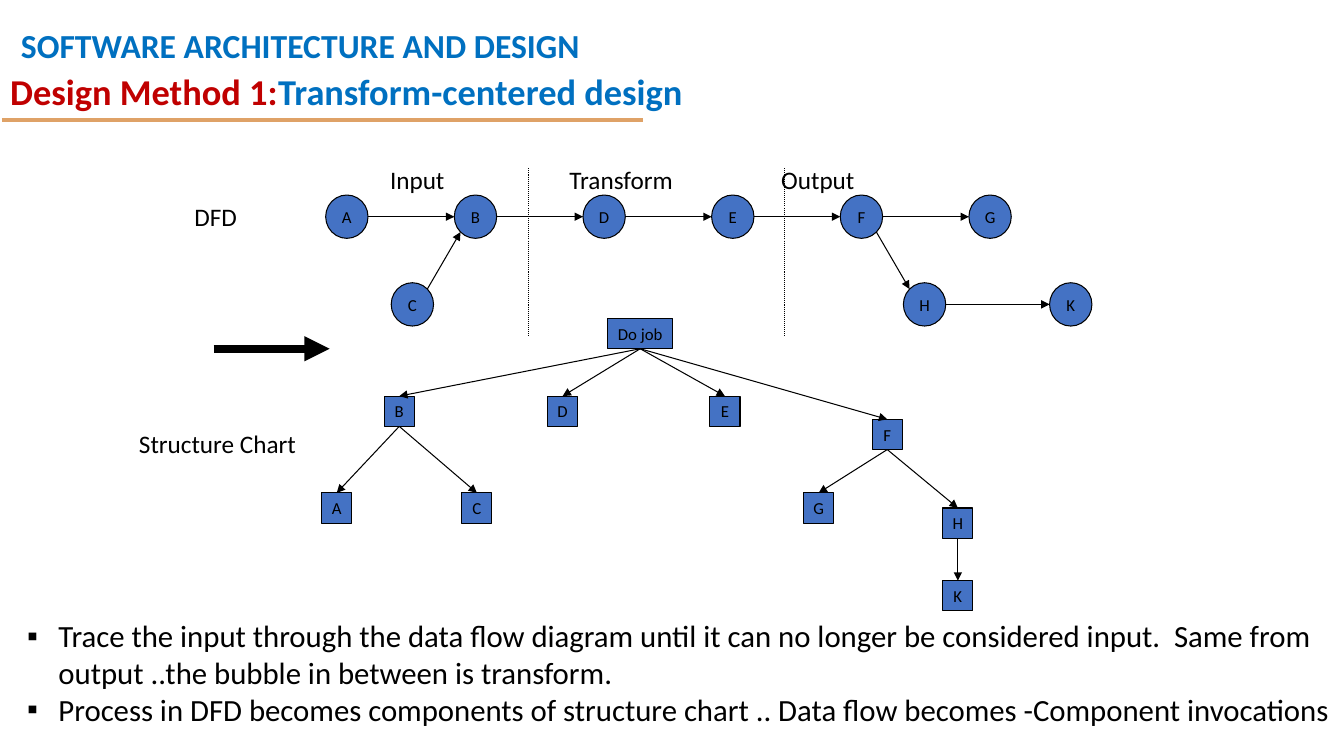
from math import sqrt

from lxml import etree
from pptx import Presentation
from pptx.dml.color import RGBColor
from pptx.enum import dml, shapes, text
from pptx.oxml.ns import qn
from pptx.util import Inches, Pt

BLACK, BLUE, RED = "000000", "0070C0", "C00000"
NODE_FILL, RULE = "4472C4", "DFA267"
LEFT, CENTER = text.PP_ALIGN.LEFT, text.PP_ALIGN.CENTER


def color(value):
    return RGBColor.from_string(value)


def write(paragraph, content, size=18, fill=BLACK, bold=False, align=LEFT,
          spacing=1.0):
    """Add a run to a paragraph and format both."""
    paragraph.alignment = align
    paragraph.line_spacing = spacing
    paragraph.space_before = Pt(0)
    run = paragraph.add_run()
    run.text = content
    run.font.name = "Calibri"
    run.font.size = Pt(size)
    run.font.bold = bold
    run.font.color.rgb = color(fill)


def place(shape, x, y, w, h):
    shape.left, shape.top = Inches(x), Inches(y)
    shape.width, shape.height = Inches(w), Inches(h)


def label(slide, x, y, w, h, content, wrap=False, **style):
    box = slide.shapes.add_textbox(Inches(x), Inches(y), Inches(w), Inches(h))
    box.text_frame.word_wrap = wrap
    write(box.text_frame.paragraphs[0], content, **style)


def node(slide, kind, center_x, y, w, h, name):
    shape = slide.shapes.add_shape(
        kind, Inches(center_x - w / 2), Inches(y), Inches(w), Inches(h))
    shape.shadow.inherit = False
    shape.fill.solid()
    shape.fill.fore_color.rgb = color(NODE_FILL)
    shape.line.color.rgb = color(BLACK)
    shape.line.width = Pt(0.75)
    frame = shape.text_frame
    frame.word_wrap = False
    frame.vertical_anchor = text.MSO_ANCHOR.MIDDLE
    write(frame.paragraphs[0], name, size=12, align=CENTER)
    return shape


def line(slide, start, end, width=0.75, fill=BLACK, arrow=True, dash=None):
    """Draw a straight line between two (x, y) points in inches."""
    connector = slide.shapes.add_connector(
        shapes.MSO_CONNECTOR.STRAIGHT, *map(Inches, (*start, *end)))
    connector.line.color.rgb = color(fill)
    connector.line.width = Pt(width)
    if dash:
        connector.line.dash_style = dash
    properties = connector._element.spPr
    if arrow:
        etree.SubElement(properties.find(qn("a:ln")), qn("a:tailEnd"),
                         type="triangle")
    etree.SubElement(properties, qn("a:effectLst"))
    return connector


def heading(slide, x, y, w, h):
    # Course name and the rule under the heading
    label(slide, x + 0.11, y, 5.83, 0.64, "SOFTWARE ARCHITECTURE AND DESIGN",
          wrap=True, size=24, fill=BLUE, bold=True, spacing=1.5)
    line(slide, (x + 0.02, y + 1.19), (x + 6.38, y + 1.19), width=3,
         fill=RULE, arrow=False)
    # Slide title in two colours
    title = slide.shapes.title
    place(title, x, y + 0.13, w, h - 0.13)
    frame = title.text_frame
    frame.auto_size = text.MSO_AUTO_SIZE.NONE
    frame.vertical_anchor = text.MSO_ANCHOR.MIDDLE
    for part, fill in (("Design Method 1:", RED),
                       ("Transform-centered design", BLUE)):
        write(frame.paragraphs[0], part, size=26, fill=fill, bold=True,
              spacing=1.2)


def data_flow_diagram(slide, x, y, w, h):
    bubble_w, bubble_h = 0.42, 0.43
    row_1, row_2 = y + 0.48, y + 1.35
    pitch = (w - 1.22) / 5
    # Bubbles: the main flow is evenly spaced, the rest sits on a second row
    centers = {name: (x + 0.21 + i * pitch, row_1)
               for i, name in enumerate("ABDEFG")}
    for name, offset in (("C", 0.86), ("H", 5.94), ("K", 7.39)):
        centers[name] = (x + offset, row_2)
    for name, (center_x, center_y) in centers.items():
        node(slide, shapes.MSO_SHAPE.OVAL, center_x, center_y - bubble_h / 2,
             bubble_w, bubble_h, name)

    def rim(name, dx, dy):
        scale = 1 / sqrt(dx * dx + dy * dy)
        center_x, center_y = centers[name]
        return (center_x + dx * scale * bubble_w / 2,
                center_y + dy * scale * bubble_h / 2)

    # Flows: each leaves and enters on opposite sides of the rims
    for source, target in ("AB", "BD", "DE", "EF", "FG", "CB", "FH", "HK"):
        rise = (centers[target][1] > row_1) - (centers[source][1] > row_1)
        line(slide, rim(source, 1, rise), rim(target, -1, -rise))
    # Phase borders and names
    for offset in (2.01, 4.55):
        line(slide, (x + offset, y), (x + offset, y + h), arrow=False,
             dash=dml.MSO_LINE.ROUND_DOT)
    for phase, offset in (("Input", 0.54), ("Transform", 2.32),
                          ("Output", 4.42)):
        label(slide, x + offset, y - 0.09, 1.6, 0.4, phase, wrap=True)


def structure_chart(slide, x, y):
    # Components: centre, top and width within the chart
    layout = {"Do job": (3.16, 0, 0.65),
              "B": (0.77, 0.77, 0.3), "D": (2.39, 0.77, 0.3),
              "E": (4.0, 0.77, 0.3), "F": (5.61, 1.0, 0.3),
              "A": (0.15, 1.73, 0.3), "C": (1.54, 1.73, 0.3),
              "G": (4.93, 1.73, 0.3), "H": (6.31, 1.88, 0.3),
              "K": (6.31, 2.6, 0.3)}
    components = {
        name: node(slide, shapes.MSO_SHAPE.RECTANGLE, x + center, y + top,
                   width, 0.3, name)
        for name, (center, top, width) in layout.items()}
    # Invocations run from the bottom of the caller to the top of the callee
    calls = {"Do job": "BDEF", "B": "AC", "F": "GH", "H": "K"}
    for caller, callees in calls.items():
        for callee in callees:
            invocation = line(slide, (x, y), (x, y))
            invocation.begin_connect(components[caller], 2)
            invocation.end_connect(components[callee], 0)


def row_labels(slide, x, y):
    label(slide, x + 0.55, y, 0.63, 0.4, "DFD")
    label(slide, x, y + 2.25, 1.78, 0.4, "Structure Chart")
    line(slide, (x + 0.84, y + 1.51), (x + 1.99, y + 1.51), width=6)


def explanation(slide, x, y, w, h):
    body = slide.placeholders[1]
    place(body, x, y, w, h)
    frame = body.text_frame
    frame.auto_size = text.MSO_AUTO_SIZE.NONE
    points = (
        "Trace the input through the data flow diagram until it can no longer "
        "be considered input.  Same from output ..the bubble in between is "
        "transform.",
        "Process in DFD becomes components of structure chart .. Data flow "
        "becomes -Component invocations")
    for i, point in enumerate(points):
        paragraph = frame.add_paragraph() if i else frame.paragraphs[0]
        write(paragraph, point, size=22)
        properties = paragraph._p.get_or_add_pPr()
        properties.set("marL", str(Inches(0.31)))
        properties.set("indent", str(-Inches(0.31)))
        etree.SubElement(properties, qn("a:buChar"), char="▪")


def main():
    deck = Presentation()
    deck.slide_width, deck.slide_height = Inches(13.33), Inches(7.5)
    slide = deck.slides.add_slide(deck.slide_layouts[1])
    heading(slide, 0, 0, 11.5, 1.58)
    data_flow_diagram(slide, 3.23, 1.67, 7.6, 1.67)
    structure_chart(slide, 3.19, 3.16)
    row_labels(slide, 1.28, 1.95)
    explanation(slide, 0.17, 6.07, 13.17, 1.21)
    deck.save("out.pptx")


if __name__ == "__main__":
    main()
